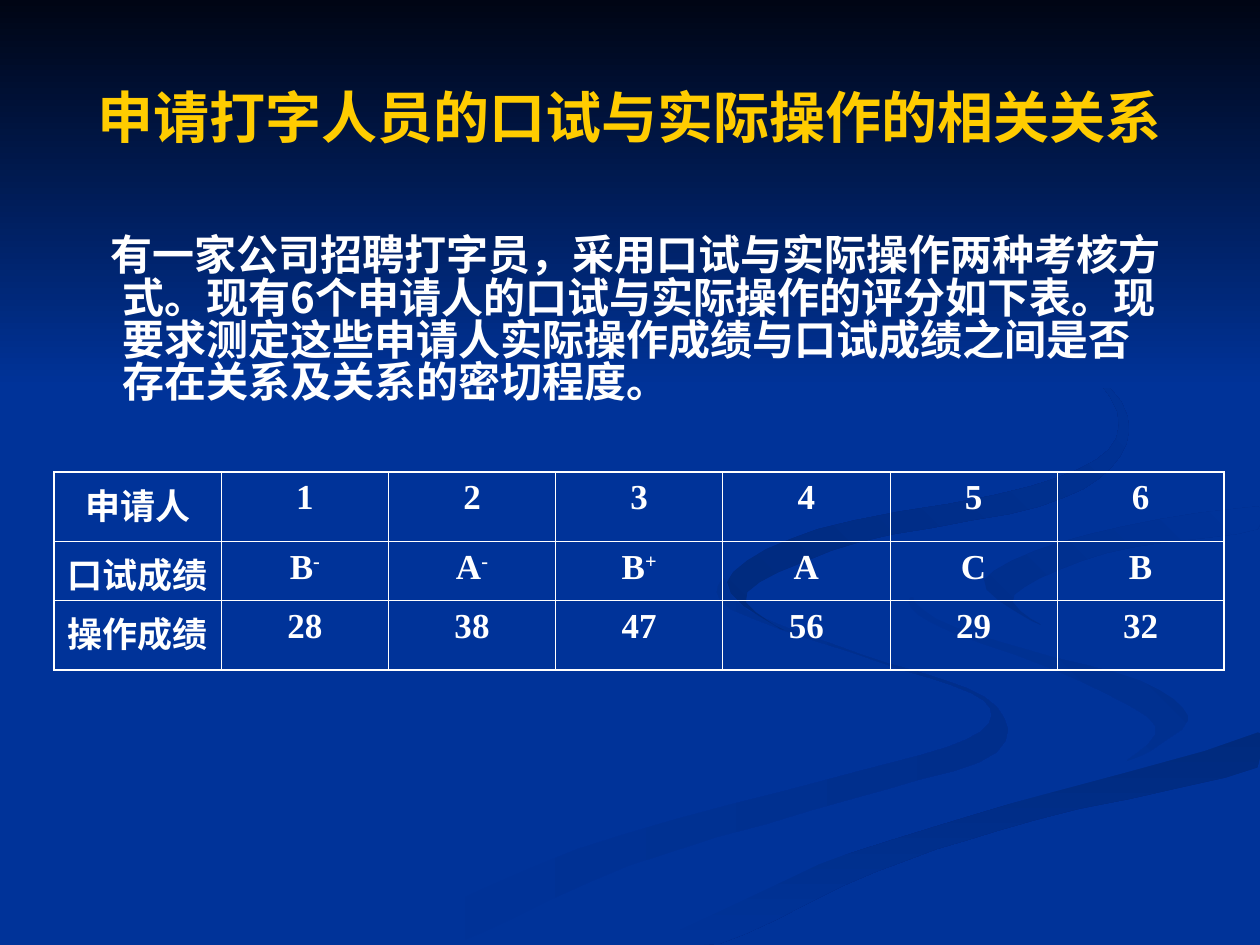
from dataclasses import dataclass

from lxml import etree
from pptx import Presentation
from pptx.dml.color import RGBColor
from pptx.enum.shapes import MSO_SHAPE
from pptx.enum.text import MSO_ANCHOR, PP_ALIGN
from pptx.oxml.ns import qn
from pptx.util import Cm, Pt

RECTANGLE = MSO_SHAPE.RECTANGLE
CENTER, LEFT = PP_ALIGN.CENTER, PP_ALIGN.LEFT
MIDDLE, TOP = MSO_ANCHOR.MIDDLE, MSO_ANCHOR.TOP


@dataclass(frozen=True)
class Theme:
    background: str = "003399"
    night: str = "000514"
    ribbon: str = "002E8B"
    ribbon_dark: str = "002A7D"
    title: str = "FFCC00"
    text: str = "FFFFFF"
    title_size: int = 32
    body_size: int = 24
    table_size: int = 20
    outer_line: float = 1.08
    inner_line: float = 0.45
    chinese_font: str = "Noto Sans CJK SC"
    latin_font: str = "Times New Roman"


theme = Theme()


def add_run(paragraph, text, size, color, latin_font):
    run = paragraph.add_run()
    run.text = text
    run.font.size = Pt(size)
    run.font.bold = True
    run.font.name = latin_font
    run.font.color.rgb = RGBColor.from_string(color)
    east_asian = etree.SubElement(run._r.get_or_add_rPr(), qn("a:ea"))
    east_asian.set("typeface", theme.chinese_font)
    return run


def paint(shape, colors, angle):
    shape.shadow.inherit = False
    shape.line.fill.background()
    shape.fill.gradient()
    shape.fill.gradient_angle = angle
    for stop, color in zip(shape.fill.gradient_stops, colors):
        stop.color.rgb = RGBColor.from_string(color)


presentation = Presentation()
presentation.slide_width = Cm(25.4)
presentation.slide_height = Cm(19.05)
slide = presentation.slides.add_slide(presentation.slide_layouts[6])
slide.background.fill.solid()
slide.background.fill.fore_color.rgb = RGBColor.from_string(theme.background)

ribbons = [
    ((theme.background, theme.ribbon), 0, [
        (781, 553), (682, 519), (594, 485), (575, 459), (581, 484), (697, 525), (781, 556),
        (767, 587), (652, 620), (458, 674), (300, 749), (361, 749), (499, 687), (676, 634),
        (791, 597)]),
    ((theme.background, theme.ribbon), 45, [
        (943, 571), (905, 540), (792, 509), (727, 474), (739, 494), (854, 539), (917, 576),
        (894, 605)]),
    ((theme.ribbon_dark, theme.background), 270, [
        (503, 749), (571, 749), (695, 692), (821, 651), (998, 609), (998, 581), (831, 629),
        (630, 693)]),
    ((theme.background, theme.background), 0, [
        (725, 464), (759, 498), (905, 540), (943, 575), (892, 605), (704, 655), (477, 749),
        (519, 747), (696, 669), (999, 581), (999, 538), (848, 503), (782, 460), (865, 424),
        (999, 402), (999, 387), (788, 422)]),
    ((theme.ribbon, theme.background), 45, [
        (781, 460), (826, 496), (805, 472), (878, 439), (998, 420), (998, 402), (865, 424)]),
    ((theme.ribbon_dark, theme.background), 45, [
        (683, 430), (825, 402), (889, 362), (880, 307), (762, 233), (862, 292), (886, 348),
        (818, 386), (649, 420), (577, 462), (622, 500), (593, 470)]),
]

curve_steps = 5
for colors, angle, knots in ribbons:
    outline = []
    for index, start in enumerate(knots):
        before = knots[index - 1]
        end = knots[(index + 1) % len(knots)]
        after = knots[(index + 2) % len(knots)]
        for step in range(curve_steps):
            t = step / curve_steps
            outline.append(tuple(
                round(b + t / 2 * (c - a + t * (2 * a - 5 * b + 4 * c - d
                                                + t * (3 * (b - c) + d - a))))
                for a, b, c, d in zip(before, start, end, after)))
    outline = [(min(x, 1000), min(y, 750)) for x, y in outline]
    builder = slide.shapes.build_freeform(*outline[0], scale=Cm(2.54) / 100)
    builder.add_line_segments(outline[1:], close=True)
    paint(builder.convert_to_shape(), colors, angle)

night_band = slide.shapes.add_shape(RECTANGLE, 0, 0, presentation.slide_width, Cm(7.82))
paint(night_band, (theme.night, theme.background), 270)

text_blocks = [
    ("申请打字人员的口试与实际操作的相关关系", (1.27, 0.76, 22.86, 3.18),
     theme.title_size, theme.title, CENTER, MIDDLE, 1, 0, 0),
    ("有一家公司招聘打字员，采用口试与实际操作两种考核方式。现有6个申请人的口试与实际操作的评分如下表。"
     "现要求测定这些申请人实际操作成绩与口试成绩之间是否存在关系及关系的密切程度。",
     (1.27, 4.65, 22.43, 4.68), theme.body_size, theme.text, LEFT, TOP, 0.84, 0.95, -0.24),
]
for text, box, size, color, alignment, anchor, spacing, margin, indent in text_blocks:
    text_frame = slide.shapes.add_textbox(*map(Cm, box)).text_frame
    text_frame.word_wrap = True
    text_frame.vertical_anchor = anchor
    paragraph = text_frame.paragraphs[0]
    paragraph.alignment = alignment
    paragraph.line_spacing = spacing
    properties = paragraph._p.get_or_add_pPr()
    properties.set("marL", str(Cm(margin)))
    properties.set("indent", str(Cm(indent)))
    add_run(paragraph, text, size, color, theme.chinese_font)

scores = [
    ["申请人", "1", "2", "3", "4", "5", "6"],
    ["口试成绩", "B-", "A-", "B+", "A", "C", "B"],
    ["操作成绩", "28", "38", "47", "56", "29", "32"],
]
row_heights = [1.4, 1.19, 1.4]
column_width = 3.37
last_row, last_column = len(scores) - 1, len(scores[0]) - 1
table = slide.shapes.add_table(
    len(scores), len(scores[0]), Cm(1.09), Cm(9.52),
    Cm(column_width * len(scores[0])), Cm(sum(row_heights))).table
table.first_row = False
table.horz_banding = False
for column in table.columns:
    column.width = Cm(column_width)

for row, values in enumerate(scores):
    table.rows[row].height = Cm(row_heights[row])
    for column, value in enumerate(values):
        cell = table.cell(row, column)
        paragraph = cell.text_frame.paragraphs[0]
        paragraph.alignment = CENTER
        grade = value.rstrip("+-")
        add_run(paragraph, grade, theme.table_size, theme.text, theme.latin_font)
        if grade != value:
            sign = add_run(paragraph, value[len(grade):], theme.table_size,
                           theme.text, theme.latin_font)
            sign._r.get_or_add_rPr().set("baseline", "30000")
        cell_properties = cell._tc.get_or_add_tcPr()
        sides = {"a:lnL": column == 0, "a:lnR": column == last_column,
                 "a:lnT": row == 0, "a:lnB": row == last_row}
        for side, is_outer in sides.items():
            width = theme.outer_line if is_outer else theme.inner_line
            border = etree.SubElement(cell_properties, qn(side), w=str(Pt(width)))
            border_fill = etree.SubElement(border, qn("a:solidFill"))
            etree.SubElement(border_fill, qn("a:srgbClr"), val=theme.text)
        cell.fill.background()

presentation.save("out.pptx")
